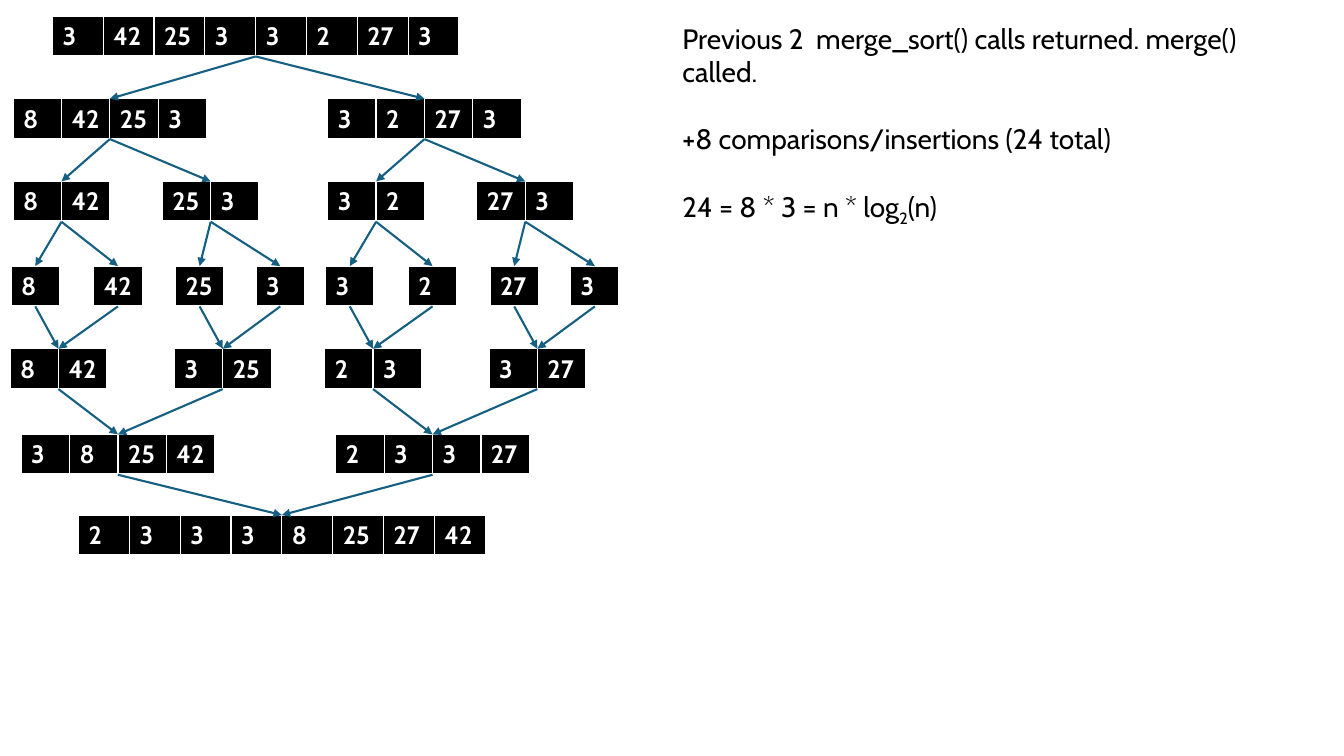
from lxml import etree
from pptx import Presentation
from pptx import util as u
from pptx.dml import color
from pptx.enum import shapes, text
from pptx.oxml import ns


def rgb(hex_code):
    return color.RGBColor.from_string(hex_code)


def add_text(paragraph, content, size=20, fill="000000", font="Cabin", bold=False, baseline=None):
    run = paragraph.add_run()
    run.text = content
    run.font.size = u.Pt(size)
    run.font.name = font
    run.font.bold = bold
    run.font.color.rgb = rgb(fill)
    if baseline is not None:
        run.font._element.set("baseline", str(baseline))


class MergeSortSlide:
    CELL_FILL = "000000"
    CELL_TEXT = "FFFFFF"
    ARROW = "156082"
    ROW_HEIGHT = 0.4
    BORDERS = {"a:lnL": 1, "a:lnR": 1, "a:lnT": 1, "a:lnB": 3}

    def __init__(self, deck):
        self.slide = deck.slides.add_slide(deck.slide_layouts[6])

    def array(self, values, left, top, cell_width):
        """Draw one array as a single-row table."""
        frame = self.slide.shapes.add_table(
            1, len(values), u.Inches(left), u.Inches(top),
            u.Inches(cell_width * len(values)), u.Inches(self.ROW_HEIGHT))
        for column, value in zip(frame.table.columns, values):
            column.width = u.Inches(cell_width)
        for cell, value in zip(frame.table.rows[0].cells, values):
            cell.fill.solid()
            cell.fill.fore_color.rgb = rgb(self.CELL_FILL)
            add_text(cell.text_frame.paragraphs[0], str(value),
                     size=18, fill=self.CELL_TEXT, bold=True)
            self.border(cell)
        return frame

    def border(self, cell):
        properties = cell._tc.get_or_add_tcPr()
        for position, (side, points) in enumerate(self.BORDERS.items()):
            line = etree.Element(ns.qn(side), w=str(u.Pt(points)))
            fill = etree.SubElement(line, ns.qn("a:solidFill"))
            etree.SubElement(fill, ns.qn("a:srgbClr"), val=self.CELL_TEXT)
            properties.insert(position, line)

    def arrow(self, source, target):
        """Join the bottom of one array to the top of another."""
        link = self.slide.shapes.add_connector(shapes.MSO_CONNECTOR.STRAIGHT, 0, 0, 0, 0)
        link.begin_connect(source, 2)
        link.end_connect(target, 0)
        link.line.color.rgb = rgb(self.ARROW)
        link.line.width = u.Pt(1.5)
        etree.SubElement(link.line._get_or_add_ln(), ns.qn("a:tailEnd"), type="triangle")
        etree.SubElement(link._element.spPr, ns.qn("a:effectLst"))

    def explanation(self, paragraphs, left, top, width, height):
        """Each paragraph is a list of (content, format) pairs."""
        box = self.slide.shapes.add_textbox(
            u.Inches(left), u.Inches(top), u.Inches(width), u.Inches(height))
        frame = box.text_frame
        frame.word_wrap = True
        frame.auto_size = text.MSO_AUTO_SIZE.SHAPE_TO_FIT_TEXT
        for number, pieces in enumerate(paragraphs):
            paragraph = frame.add_paragraph() if number else frame.paragraphs[0]
            paragraph.space_before = u.Pt(24 if number else 0)
            for content, style in pieces:
                add_text(paragraph, content, **style)


# Each level: top, left edges of its arrays, the eight values in order
HALF_SHIFT = 3.12
INPUT = [8, 42, 25, 3, 3, 2, 27, 3]


def both_halves(*lefts):
    return [left + shift for shift in (0, HALF_SHIFT) for left in lefts]


LEVELS = [
    (0.16, [0.52], [3, 42, 25, 3, 3, 2, 27, 3]),
    (0.98, both_halves(0.13), INPUT),
    (1.8, both_halves(0.13, 1.61), INPUT),
    (2.64, both_halves(0.11, 0.93, 1.74, 2.54), INPUT),
    (3.46, both_halves(0.1, 1.73), [8, 42, 3, 25, 2, 3, 3, 27]),
    (4.31, both_halves(0.21), [3, 8, 25, 42, 2, 3, 3, 27]),
    (5.11, [0.78], [2, 3, 3, 3, 8, 25, 27, 42]),
]


def main():
    deck = Presentation()
    deck.slide_width, deck.slide_height = u.Inches(13.33), u.Inches(7.5)
    page = MergeSortSlide(deck)

    # Arrays, level by level
    tree = []
    for top, lefts, values in LEVELS:
        length = len(values) // len(lefts)
        cell_width = 0.504 if len(lefts) == 1 else 0.48
        tree.append([page.array(values[i * length:(i + 1) * length], left, top, cell_width)
                     for i, left in enumerate(lefts)])

    # Arrows: splits fan out, merges fan in
    for upper, lower in zip(tree, tree[1:]):
        count = max(len(upper), len(lower))
        for i in range(count):
            page.arrow(upper[i * len(upper) // count], lower[i * len(lower) // count])

    # Explanation beside the tree
    page.explanation([
        [("Previous 2  merge_sort() calls returned. merge() called.", {})],
        [("+8 comparisons/insertions (24 total)", {})],
        [("24 = 8 * 3 = n * log", {}), ("2", {"baseline": -25000}), ("(n)", {})],
    ], 6.67, 0.16, 6.47, 2.12)

    deck.save("out.pptx")


if __name__ == "__main__":
    main()
